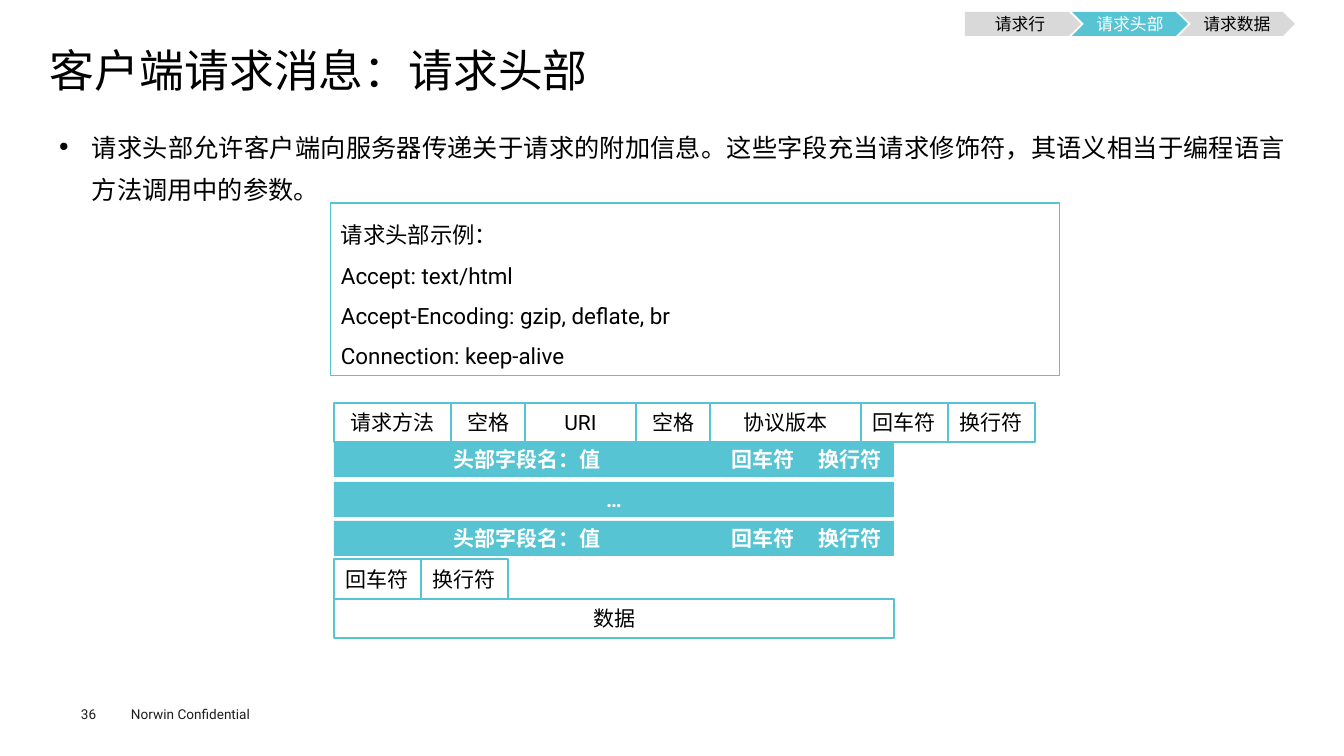
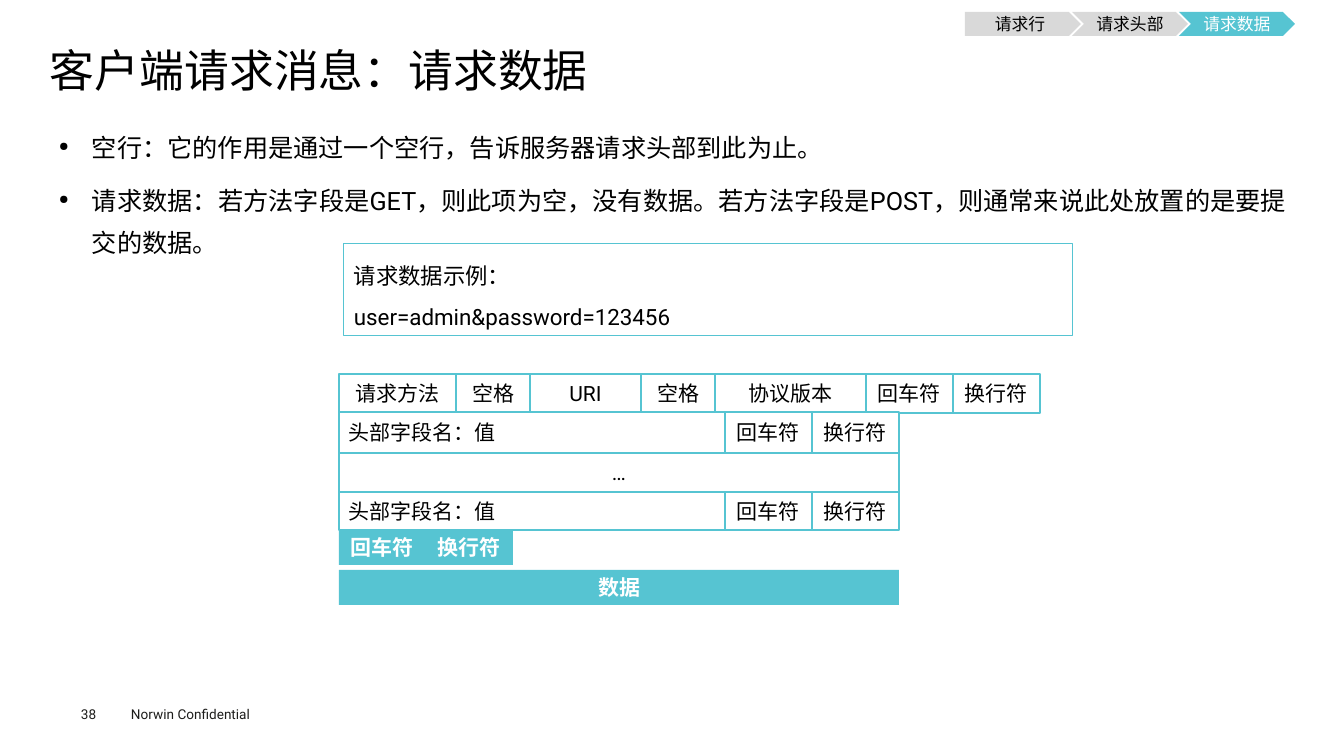
from itertools import accumulate

from lxml.etree import SubElement
from pptx import Presentation
from pptx.dml.color import RGBColor
from pptx.enum.lang import MSO_LANGUAGE_ID
from pptx.enum.shapes import MSO_SHAPE
from pptx.enum.text import MSO_ANCHOR, PP_ALIGN
from pptx.oxml.ns import qn
from pptx.util import Emu, Pt

BLACK = RGBColor(0x00, 0x00, 0x00)
WHITE = RGBColor(0xFF, 0xFF, 0xFF)
TEAL = RGBColor(0x56, 0xC4, 0xD2)
GREY = RGBColor(0xD9, 0xD9, 0xD9)
FOOTER = RGBColor(0x1D, 0x1D, 0x1B)

FONT = "Roboto"
EMU_PER_INCH = 914400
PX_PER_INCH = 100.8
STEPS = ["请求行", "请求头部", "请求数据"]

REQUEST_LINE = [("请求方法", 117), ("空格", 74), ("URI", 111), ("空格", 74),
                ("协议版本", 151), ("回车符", 87), ("换行符", 87)]
HEADER_FIELD = [("头部字段名：值", 386), ("回车符", 87), ("换行符", 87)]
MORE_FIELDS = [("…", 560)]
EMPTY_LINE = [("回车符", 87), ("换行符", 87)]
DATA = [("数据", 560)]
MESSAGE = [REQUEST_LINE, HEADER_FIELD, MORE_FIELDS, HEADER_FIELD, EMPTY_LINE, DATA]


def px(length):
    return Emu(round(length * EMU_PER_INCH / PX_PER_INCH))


class Deck:
    def __init__(self):
        self.presentation = Presentation()
        self.presentation.slide_width = px(1344)
        self.presentation.slide_height = px(756)
        self.slide = None

    def new_slide(self, number, step):
        layout = self.presentation.slide_layouts[6]
        self.slide = self.presentation.slides.add_slide(layout)
        self.text_box(121, 701, 161, 27, ["Norwin Confidential"], 9.7, FOOTER, margins=(10, 5))
        self.text_box(81, 706, 55, 16, [str(number)], 9.7, FOOTER)
        self.text_box(50, 49, 1245, 54, ["客户端请求消息：" + STEPS[step]], 32, spacing=0.9)
        self.step_band(step)

    def add_text(self, shape, lines, size, color=BLACK, bold=False, align=PP_ALIGN.LEFT,
                 anchor=MSO_ANCHOR.TOP, spacing=None, margins=(0, 0)):
        frame = shape.text_frame
        frame.word_wrap = True
        frame.vertical_anchor = anchor
        frame.margin_left = frame.margin_right = px(margins[0])
        frame.margin_top = frame.margin_bottom = px(margins[1])
        for index, line in enumerate(lines):
            paragraph = frame.add_paragraph() if index else frame.paragraphs[0]
            paragraph.alignment = align
            if spacing:
                paragraph.line_spacing = spacing
            run = paragraph.add_run()
            run.text = line
            run.font.name = FONT
            run.font.size = Pt(size)
            run.font.bold = bold
            run.font.color.rgb = color
            run.font.language_id = MSO_LANGUAGE_ID.SIMPLIFIED_CHINESE
        return frame

    def text_box(self, left, top, width, height, lines, size, color=BLACK, **style):
        shape = self.slide.shapes.add_textbox(px(left), px(top), px(width), px(height))
        return self.add_text(shape, lines, size, color, **style)

    def block(self, kind, left, top, width, height, fill=None, line=None, line_width=1):
        shape = self.slide.shapes.add_shape(kind, px(left), px(top), px(width), px(height))
        shape.shadow.inherit = False
        if fill is None:
            shape.fill.background()
        else:
            shape.fill.solid()
            shape.fill.fore_color.rgb = fill
        if line is None:
            shape.line.fill.background()
        else:
            shape.line.color.rgb = line
            shape.line.width = Pt(line_width)
        return shape

    def step_band(self, current):
        for index, name in enumerate(STEPS):
            active = index == current
            kind = MSO_SHAPE.CHEVRON if index else MSO_SHAPE.PENTAGON
            shape = self.block(kind, 965 + 107 * index, 12, 116, 24, TEAL if active else GREY)
            self.add_text(shape, [name], 12, WHITE if active else BLACK,
                          align=PP_ALIGN.CENTER, anchor=MSO_ANCHOR.MIDDLE)

    def bullets(self, lines):
        frame = self.text_box(50, 116, 1245, 538, lines, 18, align=PP_ALIGN.JUSTIFY,
                              spacing=1.4, margins=(9, 4))
        for index, paragraph in enumerate(frame.paragraphs):
            if index:
                paragraph.space_before = Pt(7.9)
            properties = paragraph._p.get_or_add_pPr()
            properties.set("marL", str(px(33)))
            properties.set("indent", str(-px(33)))
            SubElement(properties, qn("a:buSzPct")).set("val", "50000")
            SubElement(properties, qn("a:buChar")).set("char", "●")

    def example(self, left, top, height, lines):
        shape = self.block(MSO_SHAPE.RECTANGLE, left, top, 729, height,
                           line=TEAL, line_width=0.75)
        self.add_text(shape, lines, 16, spacing=1.5, margins=(10, 5))

    def message(self, left, rows, highlighted):
        for index, (cells, (top, height)) in enumerate(zip(MESSAGE, rows)):
            active = index in highlighted
            offsets = accumulate((width for _, width in cells), initial=0)
            for (label, width), offset in zip(cells, offsets):
                shape = self.block(MSO_SHAPE.RECTANGLE, left + offset, top, width, height,
                                   TEAL if active else WHITE, None if active else TEAL)
                left_aligned = label == HEADER_FIELD[0][0] and not active
                self.add_text(shape, [label], 15, WHITE if active else BLACK, active,
                              PP_ALIGN.LEFT if left_aligned else PP_ALIGN.CENTER,
                              MSO_ANCHOR.MIDDLE, margins=(10 if left_aligned else 0, 0))


def main():
    deck = Deck()

    deck.new_slide(36, 1)
    deck.bullets(["请求头部允许客户端向服务器传递关于请求的附加信息。这些字段充当请求修饰符，"
                  "其语义相当于编程语言方法调用中的参数。"])
    deck.message(334, [(403, 39), (442, 35), (482, 35), (521, 35), (559, 40), (599, 39)],
                 {1, 2, 3})
    deck.example(331, 203, 173, ["请求头部示例：", "Accept: text/html",
                                 "Accept-Encoding: gzip, deflate, br",
                                 "Connection: keep-alive"])

    deck.new_slide(38, 2)
    deck.bullets(["空行：它的作用是通过一个空行，告诉服务器请求头部到此为止。",
                  "请求数据：若方法字段是GET，则此项为空，没有数据。若方法字段是POST，"
                  "则通常来说此处放置的是要提交的数据。"])
    deck.message(339, [(374, 39), (412, 41), (453, 39), (492, 38), (530, 35), (570, 35)],
                 {4, 5})
    deck.example(344, 244, 92, ["请求数据示例：", "user=admin&password=123456"])

    deck.presentation.save("out.pptx")


if __name__ == "__main__":
    main()
